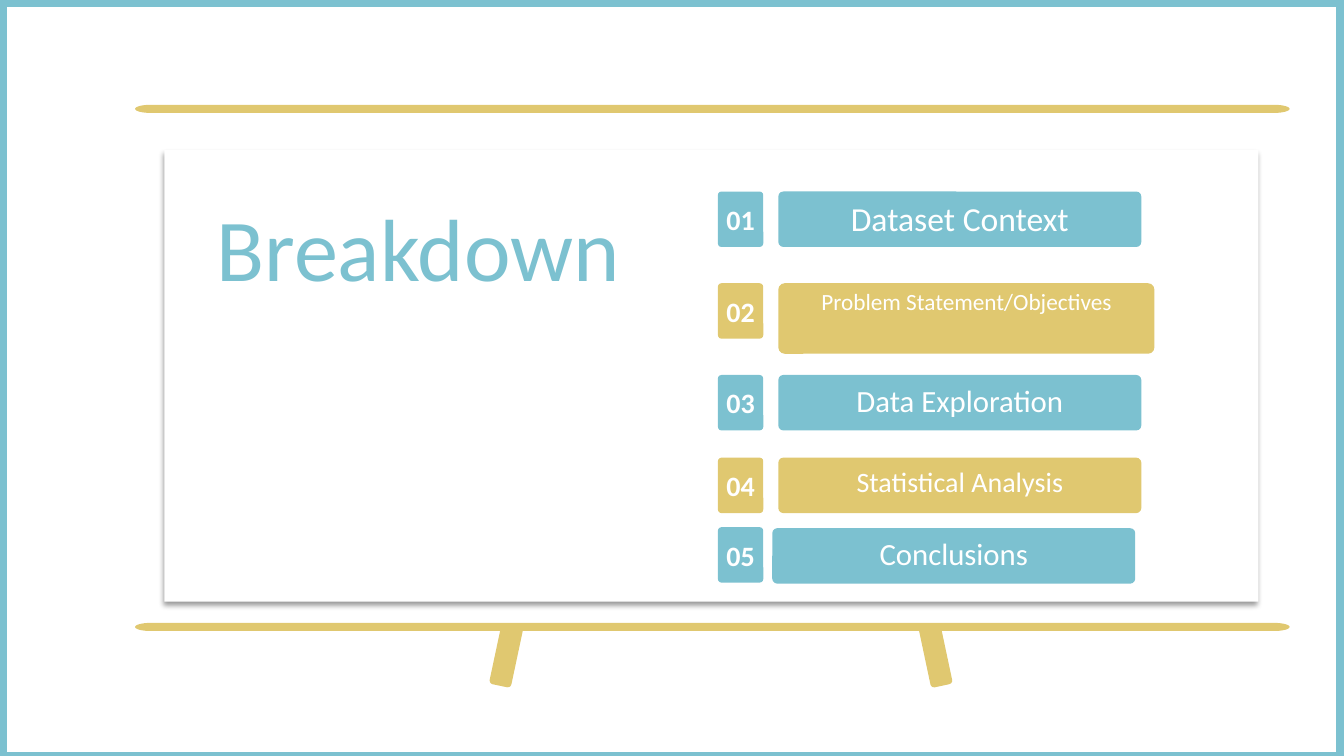
from dataclasses import dataclass
from math import cos, pi, sin

from lxml.etree import SubElement
from pptx import Presentation
from pptx.dml.color import RGBColor
from pptx.enum.shapes import MSO_SHAPE
from pptx.enum.text import MSO_ANCHOR, PP_ALIGN
from pptx.oxml.ns import qn
from pptx.shapes.autoshape import Shape
from pptx.slide import Slide
from pptx.text.text import TextFrame
from pptx.util import Inches, Pt

TEAL = "7CC1D0"
GOLD = "E0C870"
WHITE = "FFFFFF"
FONT = "Calibri"


@dataclass
class Topic:
    label: str
    top: float
    size: float
    color: str
    left: float = 7.72
    width: float = 3.6
    height: float = 0.55
    shift: float = 0
    spacing: float = 1.0


@dataclass
class Leg:
    left: float
    angle: float


TOPICS = [
    Topic("Dataset Context", 1.9, 24, TEAL),
    Topic("Problem Statement/Objectives", 2.81, 16.6, GOLD,
          width=3.73, height=0.7, spacing=0.9),
    Topic("Data Exploration", 3.72, 22, TEAL),
    Topic("Statistical Analysis", 4.54, 20, GOLD),
    Topic("Conclusions", 5.23, 22, TEAL, left=7.66, shift=0.01),
]
LEGS = [Leg(4.91, 12), Leg(9.17, -12)]
RAILS = [1.04, 6.18]


def tint(color: str) -> RGBColor:
    return RGBColor.from_string(color)


def paint(shape: Shape, color: str) -> None:
    shape.shadow.inherit = False
    shape.fill.solid()
    shape.fill.fore_color.rgb = tint(color)
    shape.line.fill.background()


def add_box(slide: Slide, kind: MSO_SHAPE, left: float, top: float,
            width: float, height: float, color: str) -> Shape:
    box = slide.shapes.add_shape(kind, Inches(left), Inches(top),
                                 Inches(width), Inches(height))
    paint(box, color)
    return box


def write(frame: TextFrame, text: str, size: float, color: str,
          align: PP_ALIGN, bold: bool = False) -> None:
    frame.text = text
    line = frame.paragraphs[0]
    line.alignment = align
    font = line.runs[0].font
    font.name = FONT
    font.size = Pt(size)
    font.bold = bold
    font.color.rgb = tint(color)


def add_panel(slide: Slide) -> None:
    panel = add_box(slide, MSO_SHAPE.RECTANGLE, 1.63, 1.49, 10.85, 4.48, WHITE)
    effects = panel._element.spPr.find(qn("a:effectLst"))
    shade = SubElement(effects, qn("a:outerShdw"), blurRad=str(Pt(4)),
                       dist=str(Pt(3)), dir="5400000", algn="t", rotWithShape="0")
    black = SubElement(shade, qn("a:srgbClr"), val="000000")
    SubElement(black, qn("a:alpha"), val="40000")


def add_rail(slide: Slide, top: float) -> None:
    left, width, tip, half = 1.34, 11.45, 0.15, 0.04
    points = []
    for center, start in ((left + width - tip, -pi / 2), (left + tip, pi / 2)):
        for step in range(17):
            angle = start + pi * step / 16
            points.append((Inches(center + tip * cos(angle)),
                           Inches(top + half + half * sin(angle))))
    path = slide.shapes.build_freeform(*points[0])
    path.add_line_segments(points[1:], close=True)
    paint(path.convert_to_shape(), GOLD)


def add_title(slide: Slide) -> None:
    box = slide.shapes.add_textbox(Inches(2.05), Inches(1.87),
                                   Inches(4.6), Inches(1.02))
    box.text_frame.word_wrap = True
    write(box.text_frame, "Breakdown", 63, TEAL, PP_ALIGN.LEFT)


def add_topic(slide: Slide, number: int, topic: Topic) -> None:
    badge = add_box(slide, MSO_SHAPE.ROUNDED_RECTANGLE, 7.12, topic.top,
                    0.45, 0.55, topic.color)
    badge.adjustments[0] = 0.08
    frame = badge.text_frame
    frame.margin_left = frame.margin_right = 0
    frame.margin_top = frame.margin_bottom = 0
    frame.vertical_anchor = MSO_ANCHOR.MIDDLE
    write(frame, f"{number:02}", 20, WHITE, PP_ALIGN.CENTER, bold=True)

    card = add_box(slide, MSO_SHAPE.ROUNDED_RECTANGLE, topic.left,
                   topic.top + topic.shift, topic.width, topic.height, topic.color)
    card.adjustments[0] = 0.09
    frame = card.text_frame
    frame.vertical_anchor = MSO_ANCHOR.TOP
    write(frame, topic.label, topic.size, WHITE, PP_ALIGN.CENTER)
    frame.paragraphs[0].line_spacing = topic.spacing


def add_leg(slide: Slide, leg: Leg) -> None:
    post = add_box(slide, MSO_SHAPE.ROUNDED_RECTANGLE, leg.left, 6.2,
                   0.22, 0.61, GOLD)
    post.rotation = leg.angle


def add_frame(slide: Slide) -> None:
    frame = add_box(slide, MSO_SHAPE.RECTANGLE, 0, 0, 13.33, 7.54, WHITE)
    frame.fill.background()
    frame.line.color.rgb = tint(TEAL)
    frame.line.width = Pt(10.75)


def main() -> None:
    deck = Presentation()
    deck.slide_width = Inches(13.33)
    deck.slide_height = Inches(7.5)
    slide = deck.slides.add_slide(deck.slide_layouts[6])
    add_panel(slide)
    for top in RAILS:
        add_rail(slide, top)
    add_title(slide)
    for number, topic in enumerate(TOPICS, 1):
        add_topic(slide, number, topic)
    for leg in LEGS:
        add_leg(slide, leg)
    add_frame(slide)
    deck.save("out.pptx")


if __name__ == "__main__":
    main()
